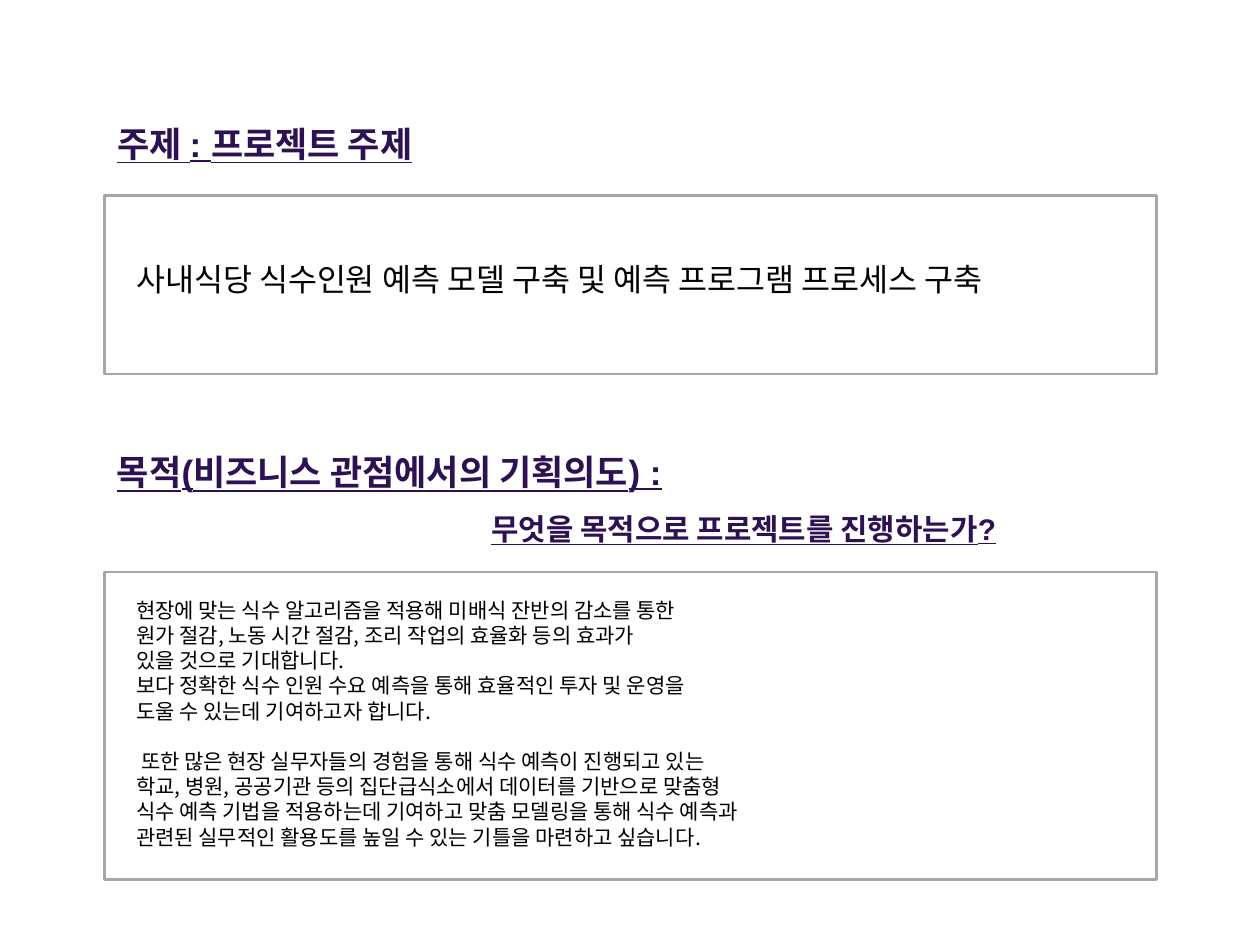
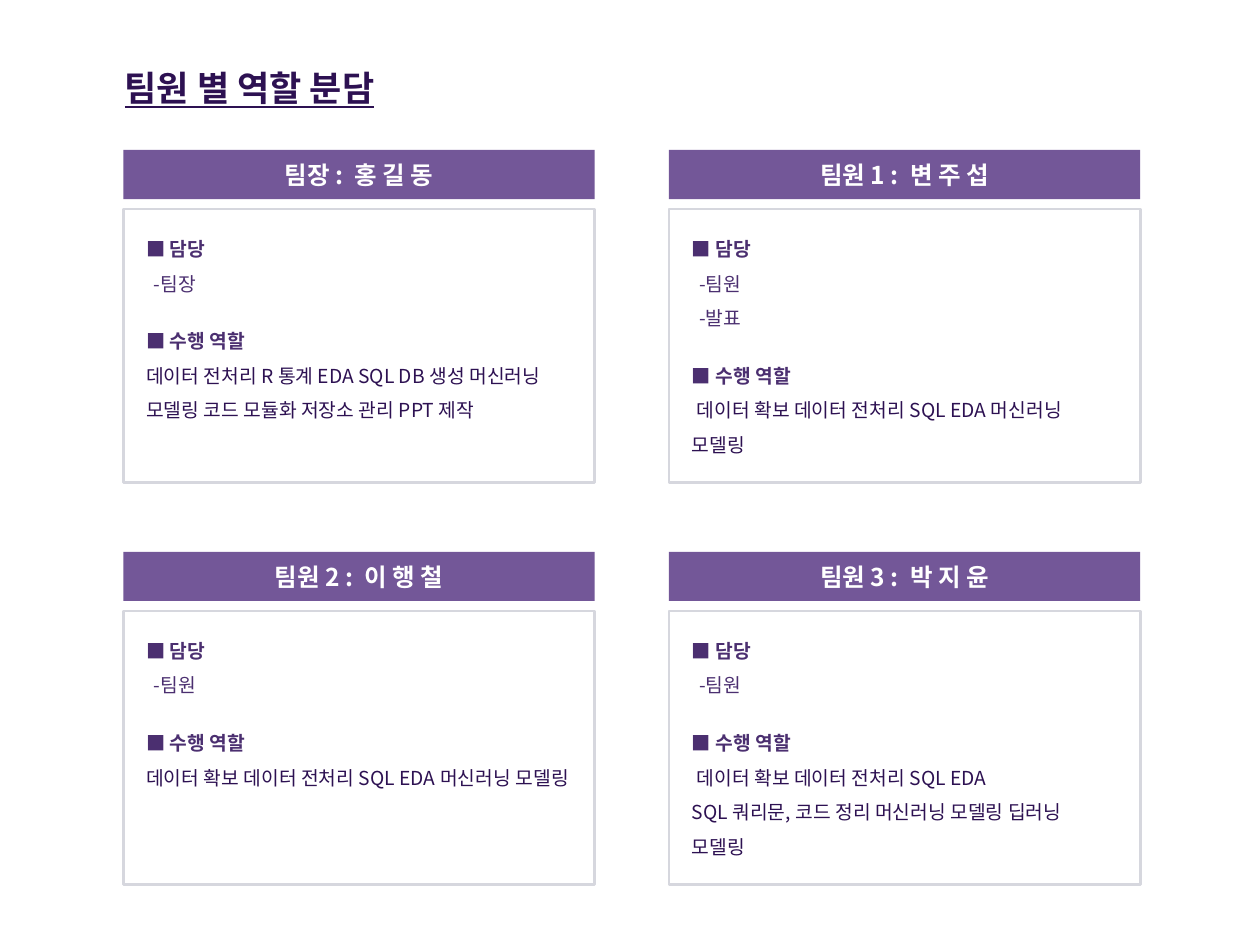
import pptx
import pptx.util
import pptx.dml.color
import pptx.enum.shapes
import pptx.enum.text
import lxml.etree
import pptx.oxml.ns

Inches = pptx.util.Inches
Pt = pptx.util.Pt
RGBColor = pptx.dml.color.RGBColor
PP_ALIGN = pptx.enum.text.PP_ALIGN
ANCHOR = pptx.enum.text.MSO_ANCHOR

DEEP_PURPLE = RGBColor(0x2D, 0x11, 0x52)
MID_PURPLE = RGBColor(0x4B, 0x2F, 0x70)
BAND_PURPLE = RGBColor(0x73, 0x57, 0x98)
FRAME_GRAY = RGBColor(0xA6, 0xA6, 0xA6)
CARD_GRAY = RGBColor(0xD6, 0xD7, 0xDE)
BLACK = RGBColor(0, 0, 0)
WHITE = RGBColor(0xFF, 0xFF, 0xFF)
SANS = "Noto Sans CJK KR"
HEADING = dict(size=20, color=DEEP_PURPLE, font="Arial", bold=True, underline=True)


def add_text(sp, text, size=12, color=BLACK, font=SANS, bold=False, underline=False,
             align=PP_ALIGN.LEFT, anchor=ANCHOR.TOP, spacing=1.0, before=0, left=0, first=0):
    tf = sp.text_frame
    tf.word_wrap = True
    tf.auto_size = pptx.enum.text.MSO_AUTO_SIZE.NONE
    tf.vertical_anchor = anchor
    p = tf.paragraphs[0] if not tf.text else tf.add_paragraph()
    p.text = text
    p.alignment = align
    p.line_spacing = spacing
    p.space_before = Pt(before)
    pPr = p._p.get_or_add_pPr()
    pPr.set("marL", str(Inches(left)))
    pPr.set("indent", str(Inches(first)))
    lxml.etree.SubElement(pPr, pptx.oxml.ns.qn("a:buNone"))
    for r in p.runs:
        r.font.size = Pt(size)
        r.font.name = font
        r.font.bold = bold
        r.font.underline = underline
        r.font.color.rgb = color
        ea = lxml.etree.SubElement(r.font._element, pptx.oxml.ns.qn("a:ea"))
        ea.set("typeface", SANS)


def add_rect(slide, left, top, width, height, fill=None, line=None):
    sp = slide.shapes.add_shape(pptx.enum.shapes.MSO_SHAPE.RECTANGLE, Inches(left),
                                Inches(top), Inches(width), Inches(height))
    sp.shadow.inherit = False
    if fill is None:
        sp.fill.background()
    else:
        sp.fill.solid()
        sp.fill.fore_color.rgb = fill
    if line is None:
        sp.line.fill.background()
    else:
        sp.line.color.rgb = line
        sp.line.width = Pt(1.5)
    return sp


prs = pptx.Presentation()
prs.slide_width = Inches(10)
prs.slide_height = Inches(7.5)
two_content, comparison = prs.slide_layouts[3], prs.slide_layouts[4]

titles = [
    (two_content, "주제 : 프로젝트 주제", 0.83, 0.92),
    (comparison, "팀원 별 역할 분담", 0.89, 0.48),
]
for layout, text, left, top in titles:
    s = prs.slides.add_slide(layout)
    title = s.shapes.title
    title.left, title.top = Inches(left), Inches(top)
    title.width, title.height = Inches(3), Inches(0.44)
    add_text(title, text, **HEADING)

s = prs.slides[0]
topic, purpose = list(s.placeholders)[1:3]
for sp, top, height in [(topic, 1.55, 1.42), (purpose, 4.54, 2.44)]:
    add_rect(s, 0.83, top, 8.35, height, line=FRAME_GRAY)
    sp.left, sp.width = Inches(0.98), Inches(7.82)
topic.top, topic.height = Inches(2.01), Inches(0.4)
purpose.top, purpose.height = Inches(4.69), Inches(2.12)

add_text(topic, "사내식당 식수인원 예측 모델 구축 및 예측 프로그램 프로세스 구축", size=18)

intent = s.shapes.add_textbox(Inches(0.83), Inches(3.36), Inches(8.35), Inches(1.04))
add_text(intent, "목적(비즈니스 관점에서의 기획의도) :", spacing=1.5, **HEADING)
add_text(intent, "무엇을 목적으로 프로젝트를 진행하는가?", spacing=1.5, left=2.97,
         **{**HEADING, "size": 17})

for line in [
    "현장에 맞는 식수 알고리즘을 적용해 미배식 잔반의 감소를 통한",
    "원가 절감, 노동 시간 절감, 조리 작업의 효율화 등의 효과가",
    "있을 것으로 기대합니다.",
    "보다 정확한 식수 인원 수요 예측을 통해 효율적인 투자 및 운영을",
    "도울 수 있는데 기여하고자 합니다.",
]:
    add_text(purpose, line)
add_text(purpose, "또한 많은 현장 실무자들의 경험을 통해 식수 예측이 진행되고 있는",
         before=14.4, first=0.04)
for line in [
    "학교, 병원, 공공기관 등의 집단급식소에서 데이터를 기반으로 맞춤형",
    "식수 예측 기법을 적용하는데 기여하고 맞춤 모델링을 통해 식수 예측과",
    "관련된 실무적인 활용도를 높일 수 있는 기틀을 마련하고 싶습니다.",
]:
    add_text(purpose, line)

s = prs.slides[1]
members = [
    ("팀장 :  홍 길 동", ["팀장"], 0,
     ["데이터 전처리 R 통계 EDA SQL DB 생성 머신러닝 모델링 코드 모듈화 저장소 관리 PPT 제작"]),
    ("팀원 1 :  변 주 섭", ["팀원", "발표"], 0.04,
     ["데이터 확보 데이터 전처리 SQL EDA 머신러닝 모델링"]),
    ("팀원 2 :  이 행 철", ["팀원"], 0,
     ["데이터 확보 데이터 전처리 SQL EDA 머신러닝 모델링"]),
    ("팀원 3 :  박 지 윤", ["팀원"], 0.04,
     ["데이터 확보 데이터 전처리 SQL EDA",
      "SQL 쿼리문, 코드 정리 머신러닝 모델링 딥러닝 모델링"]),
]
role_bodies = list(s.placeholders)[1:5]
for i, (name, duties, first, tasks) in enumerate(members):
    left = 0.98 + i % 2 * 4.33
    top = 1.19 + i // 2 * 3.19
    band = add_rect(s, left, top, 3.74, 0.39, fill=BAND_PURPLE)
    add_text(band, name, size=14, color=WHITE, bold=True,
             align=PP_ALIGN.CENTER, anchor=ANCHOR.MIDDLE)
    add_rect(s, left, top + 0.47, 3.74, 2.17, line=CARD_GRAY)
    body = role_bodies[i]
    body.left, body.top = Inches(left + 0.08), Inches(top + 0.55)
    body.width, body.height = Inches(3.58), Inches(2.09)
    role = dict(size=11, color=MID_PURPLE, spacing=1.5)
    add_text(body, "■ 담당", bold=True, **role)
    for duty in duties:
        add_text(body, "-" + duty, left=0.06, **role)
    add_text(body, "■ 수행 역할", bold=True, before=13, **role)
    for j, task in enumerate(tasks):
        add_text(body, task, first=0 if j else first, **{**role, "color": DEEP_PURPLE})

prs.save("out.pptx")
